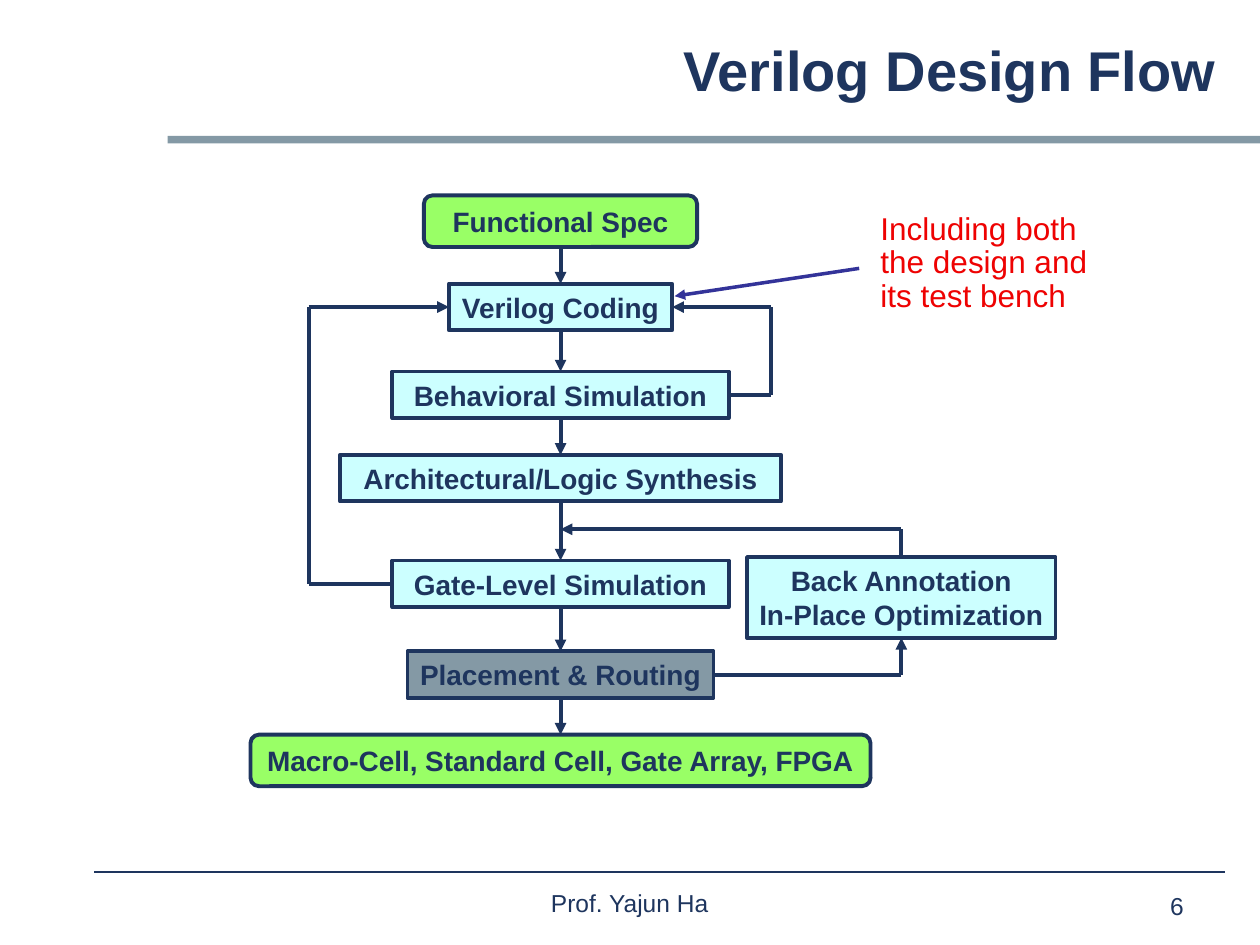
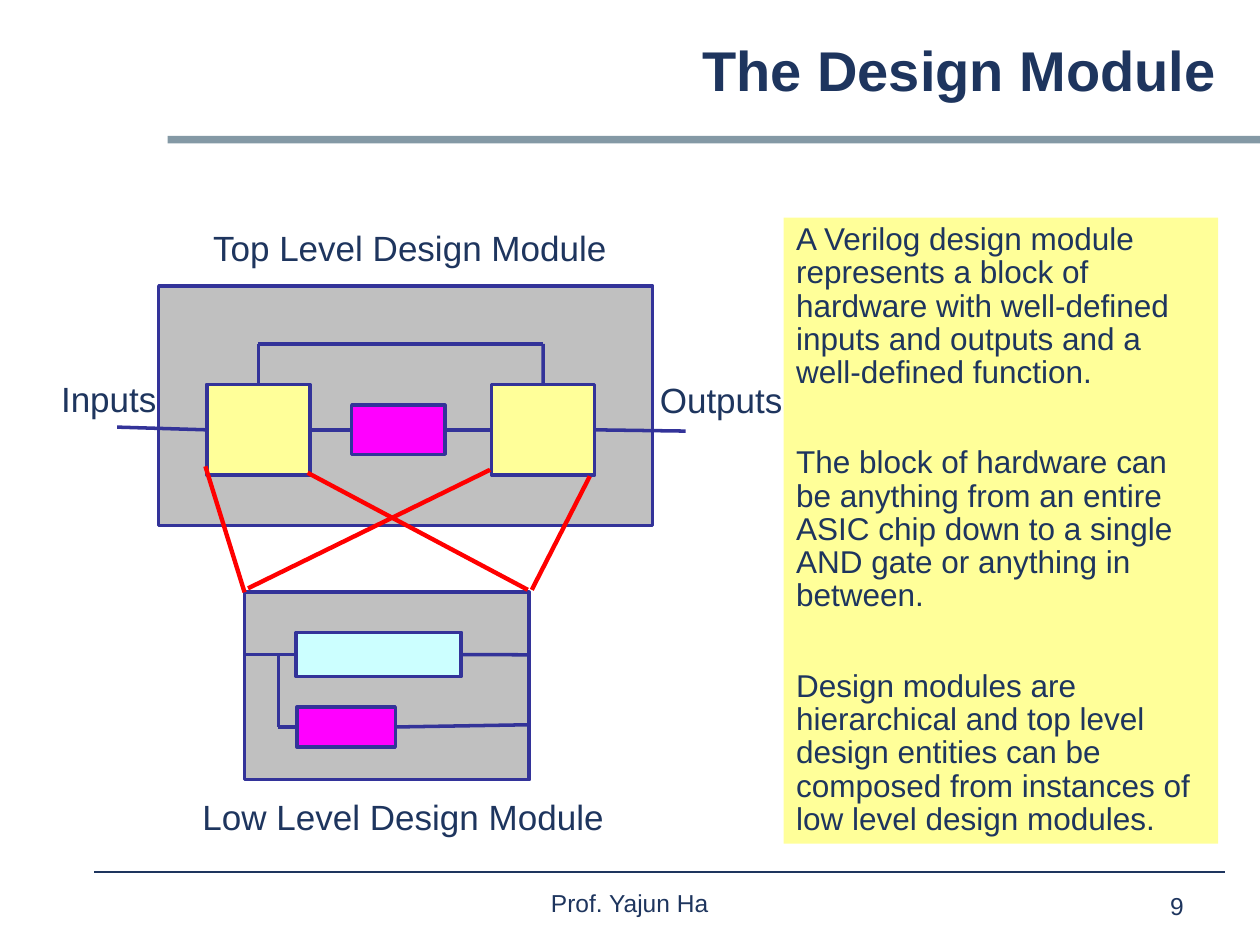
from dataclasses import dataclass
from itertools import pairwise

from pptx import Presentation
from pptx.dml.color import RGBColor
from pptx.enum.shapes import MSO_CONNECTOR, MSO_SHAPE as Preset
from pptx.enum.text import MSO_ANCHOR as Anchor, PP_ALIGN as Align
from pptx.oxml.ns import qn
from pptx.shapes.base import BaseShape
from pptx.util import Cm, Pt
from lxml.etree import SubElement

# Shared look
NAVY = RGBColor(0x1E, 0x35, 0x5E)
SLATE = RGBColor(0x84, 0x99, 0xA5)
INDIGO = RGBColor(0x33, 0x33, 0x99)
GREEN = RGBColor(0x99, 0xFF, 0x66)
CYAN = RGBColor(0xCC, 0xFF, 0xFF)
YELLOW = RGBColor(0xFF, 0xFF, 0x99)
MAGENTA = RGBColor(0xFF, 0x00, 0xFF)
GRAY = RGBColor(0xC0, 0xC0, 0xC0)
RED = RGBColor(0xFF, 0x00, 0x00)
NOTE_RED = RGBColor(0xEE, 0x02, 0x02)
FONT = "Arial"
TIGHT = 0.88
TOP, LEFT, BOTTOM, RIGHT = range(4)


@dataclass
class Joint:
    """The middle of one side of a shape, in centimetres."""
    shape: BaseShape
    side: int

    @property
    def x(self):
        share = {LEFT: 0, RIGHT: 1}.get(self.side, 0.5)
        return (self.shape.left + share * self.shape.width) / Cm(1)

    @property
    def y(self):
        share = {TOP: 0, BOTTOM: 1}.get(self.side, 0.5)
        return (self.shape.top + share * self.shape.height) / Cm(1)


@dataclass
class Point:
    x: float
    y: float


# Element builders
def write(shape, paragraphs, size, color=NAVY, bold=False, align=Align.LEFT,
          anchor=Anchor.TOP, wrap=True, spacing=TIGHT, gap=0):
    frame = shape.text_frame
    frame.word_wrap = wrap
    frame.vertical_anchor = anchor
    for index, text in enumerate(paragraphs):
        paragraph = frame.add_paragraph() if index else frame.paragraphs[0]
        paragraph.alignment = align
        paragraph.line_spacing = spacing
        paragraph.space_before = Pt(gap if index else 0)
        run = paragraph.add_run()
        run.text = text
        run.font.name = FONT
        run.font.size = Pt(size)
        run.font.bold = bold
        run.font.color.rgb = color


def add_label(slide, left, top, width, height, text, size, **style):
    box = slide.shapes.add_textbox(Cm(left), Cm(top), Cm(width), Cm(height))
    write(box, [text], size, **style)


def add_block(slide, left, top, width, height, fill, line=None, weight=2,
              preset=Preset.RECTANGLE):
    shape = slide.shapes.add_shape(preset, Cm(left), Cm(top), Cm(width), Cm(height))
    shape.shadow.inherit = False
    shape.fill.solid()
    shape.fill.fore_color.rgb = fill
    if line is None:
        shape.line.fill.background()
    else:
        shape.line.color.rgb = line
        shape.line.width = Pt(weight)
    return shape


def add_step(slide, center, top, width, height, fill, *lines,
             preset=Preset.RECTANGLE):
    step = add_block(slide, center - width / 2, top, width, height, fill,
                     NAVY, 2.25, preset)
    write(step, lines, 16, bold=True, align=Align.CENTER,
          anchor=Anchor.MIDDLE, wrap=False, spacing=1.0)
    return step


def add_path(slide, *points, color=INDIGO, weight=2, arrow=False):
    """Draw straight lines from point to point, joined to shapes at joints."""
    for start, end in pairwise(points):
        line = slide.shapes.add_connector(
            MSO_CONNECTOR.STRAIGHT, Cm(start.x), Cm(start.y), Cm(end.x), Cm(end.y))
        line.line.color.rgb = color
        line.line.width = Pt(weight)
        properties = line._element.spPr
        SubElement(properties, qn("a:effectLst"))
        if arrow and end is points[-1]:
            SubElement(properties.find(qn("a:ln")), qn("a:tailEnd"), type="triangle")
        if isinstance(start, Joint):
            line.begin_connect(start.shape, start.side)
        if isinstance(end, Joint):
            line.end_connect(end.shape, end.side)


def add_base_slide(presentation, title, number):
    slide = presentation.slides.add_slide(presentation.slide_layouts[6])
    add_block(slide, 3.38, 2.74, 22.02, 0.15, SLATE)
    add_label(slide, 3.38, 0.43, 21.39, 2.11, title, 32, bold=True,
              align=Align.RIGHT, anchor=Anchor.MIDDLE)
    add_path(slide, Point(1.9, 17.58), Point(24.69, 17.58), color=NAVY, weight=0.75)
    add_label(slide, 8.35, 17.86, 8.69, 1.07, "Prof. Yajun Ha", 14, align=Align.CENTER)
    add_label(slide, 23.34, 17.91, 1.65, 0.66, number, 14)
    return slide


# Slide: design flow
def build_design_flow(presentation):
    slide = add_base_slide(presentation, "Verilog Design Flow", "6")
    column = 11.3
    rounded = Preset.ROUNDED_RECTANGLE
    functional = add_step(slide, column, 3.94, 5.51, 1.04, GREEN,
                          "Functional Spec", preset=rounded)
    coding, behavioral, synthesis, gate, placement = [
        add_step(slide, column, top, width, 0.94, fill, text)
        for top, width, fill, text in (
            (5.72, 4.5, CYAN, "Verilog Coding"),
            (7.49, 6.78, CYAN, "Behavioral Simulation"),
            (9.17, 8.89, CYAN, "Architectural/Logic Synthesis"),
            (11.3, 6.78, CYAN, "Gate-Level Simulation"),
            (13.13, 6.17, SLATE, "Placement & Routing"))]
    target = add_step(slide, column, 14.81, 12.5, 1.04, GREEN,
                      "Macro-Cell, Standard Cell, Gate Array, FPGA", preset=rounded)
    annotation = add_step(slide, 18.17, 11.23, 6.22, 1.63, CYAN,
                          "Back Annotation", "In-Place Optimization")

    # Downward flow
    flow_style = dict(color=NAVY, weight=2.25, arrow=True)
    steps = (functional, coding, behavioral, synthesis, gate, placement, target)
    for upper, lower in pairwise(steps):
        add_path(slide, Joint(upper, BOTTOM), Joint(lower, TOP), **flow_style)

    # Feedback loops to coding
    for source, side, loop_x in ((gate, LEFT, 6.22), (behavioral, RIGHT, 15.54)):
        start, end = Joint(source, side), Joint(coding, side)
        add_path(slide, start, Point(loop_x, start.y), Point(loop_x, end.y), end,
                 **flow_style)

    # Back annotation loop
    start, below = Joint(placement, RIGHT), Joint(annotation, BOTTOM)
    add_path(slide, start, Point(below.x, start.y), below, **flow_style)
    above = Joint(annotation, TOP)
    add_path(slide, above, Point(above.x, 10.67), Point(column, 10.67), **flow_style)

    # Remark on coding
    add_path(slide, Point(17.32, 5.41), Point(13.6, 5.97), arrow=True)
    add_label(slide, 17.5, 4.19, 5.46, 2.29,
              "Including both the design and its test bench", 18, color=NOTE_RED)


# Slide: design module
def build_design_module(presentation):
    slide = add_base_slide(presentation, "The Design Module", "9")

    # Modules and the blocks inside them
    add_block(slide, 4.93, 11.94, 5.74, 3.78, GRAY, INDIGO)
    add_block(slide, 3.2, 5.77, 9.96, 4.83, GRAY, INDIGO)
    first, last = [add_block(slide, left, 7.75, 2.08, 1.83, YELLOW, INDIGO)
                   for left in (4.17, 9.91)]
    middle = add_block(slide, 7.09, 8.17, 1.88, 0.99, MAGENTA, INDIGO)
    upper = add_block(slide, 5.97, 12.75, 3.33, 0.89, CYAN, INDIGO)
    lower = add_block(slide, 5.99, 14.25, 1.98, 0.81, MAGENTA, INDIGO)

    # Top level wires
    add_path(slide, Point(2.36, 8.61), Joint(first, LEFT))
    add_path(slide, Joint(first, RIGHT), Joint(middle, LEFT))
    add_path(slide, Joint(middle, RIGHT), Joint(last, LEFT))
    add_path(slide, Joint(last, RIGHT), Point(13.82, 8.69))
    start, end = Joint(first, TOP), Joint(last, TOP)
    add_path(slide, start, Point(start.x, 6.93), Point(end.x, 6.93), end)

    # Low level wires
    entry, branch = Joint(upper, LEFT), Joint(lower, LEFT)
    add_path(slide, Point(4.93, entry.y), entry)
    add_path(slide, Point(5.61, entry.y), Point(5.61, branch.y), branch)
    add_path(slide, Joint(upper, RIGHT), Point(10.67, 13.2))
    add_path(slide, Joint(lower, RIGHT), Point(10.67, 14.61))

    # Zoom lines from the instances to the low level module
    for x1, y1, x2, y2 in ((4.14, 9.4, 4.93, 11.94), (6.2, 9.53, 10.64, 11.89),
                           (9.88, 9.47, 5.0, 11.86), (11.89, 9.6, 10.72, 11.89)):
        add_path(slide, Point(x1, y1), Point(x2, y2), color=RED, weight=2.5)

    # Labels
    for left, top, width, text in (
            (3.86, 4.55, 8.81, "Top Level Design Module"),
            (3.67, 16.03, 8.92, "Low Level Design Module"),
            (0.86, 7.59, 2.67, "Inputs"),
            (12.9, 7.62, 3.28, "Outputs")):
        add_label(slide, left, top, width, 1.02, text, 20, align=Align.CENTER)

    # Explanation panel
    panel = add_block(slide, 15.8, 4.39, 8.76, 12.62, YELLOW)
    write(panel, (
        "A Verilog design module represents a block of hardware with "
        "well-defined inputs and outputs and a well-defined function.",
        "The block of hardware can be anything from an entire ASIC chip "
        "down to a single AND gate or anything in between.",
        "Design modules are hierarchical and top level design entities can "
        "be composed from instances of low level design modules."),
        18, gap=32.5)


def main():
    presentation = Presentation()
    presentation.slide_width = Cm(25.4)
    presentation.slide_height = Cm(19.05)
    build_design_flow(presentation)
    build_design_module(presentation)
    presentation.save("out.pptx")


if __name__ == "__main__":
    main()
